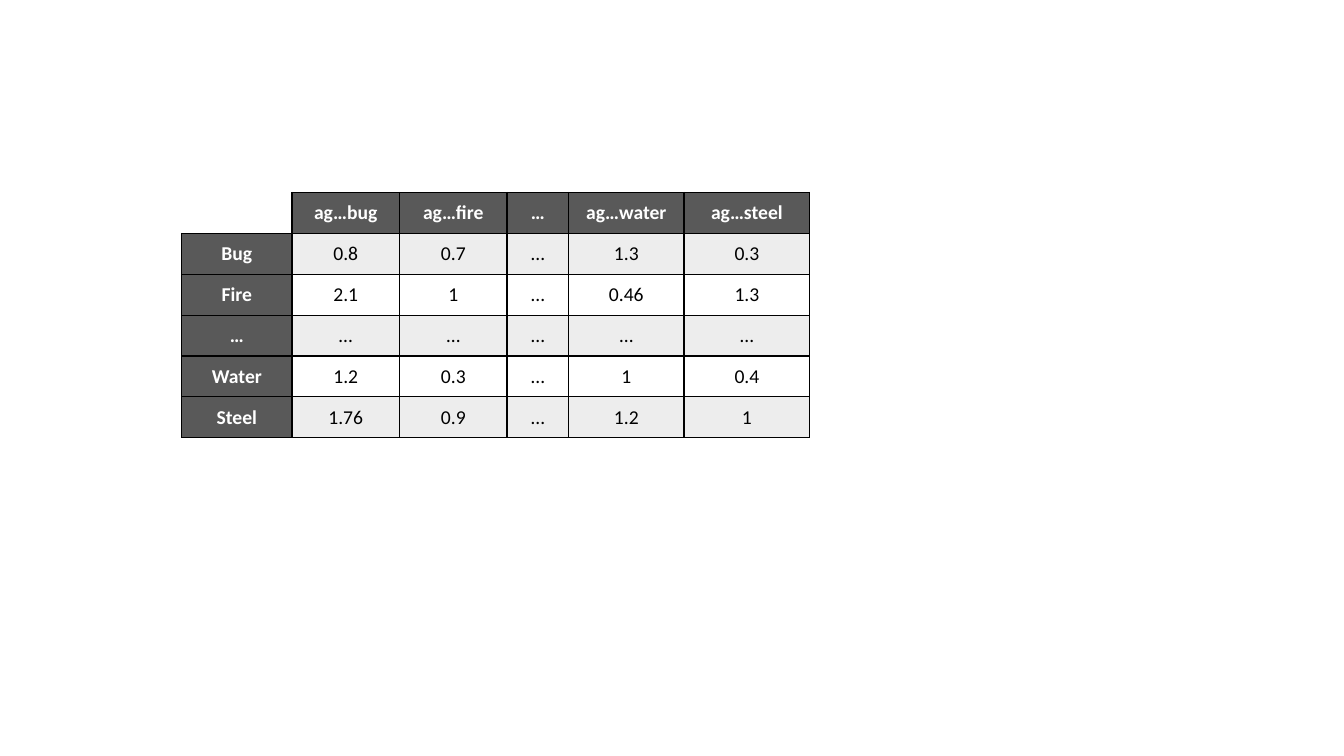
from dataclasses import dataclass

from pptx import Presentation, util as u
from pptx.dml.color import RGBColor
from pptx.enum import text
from pptx.oxml import parse_xml
from pptx.oxml.ns import nsdecls


@dataclass(frozen=True)
class Theme:
    """Colours and type sizes of the deck."""
    font: str = "Calibri"
    size: int = 14
    header: str = "595959"
    band: str = "EDEDED"
    light: str = "FFFFFF"
    dark: str = "000000"
    border: int = 1


@dataclass(frozen=True)
class Box:
    """Position and size in centimetres."""
    left: float
    top: float
    width: float
    height: float


THEME = Theme()
TYPE_ROWS = [
    ["", "ag…bug", "ag…fire", "…", "ag…water", "ag…steel"],
    ["Bug", "0.8", "0.7", "…", "1.3", "0.3"],
    ["Fire", "2.1", "1", "…", "0.46", "1.3"],
    ["…"] * 6,
    ["Water", "1.2", "0.3", "…", "1", "0.4"],
    ["Steel", "1.76", "0.9", "…", "1.2", "1"],
]
COLUMN_WIDTHS = [2.78, 2.71, 2.71, 1.55, 2.91, 3.17]


def set_borders(cell, sides):
    """Draw the border on the named sides and clear the others."""
    properties = cell._tc.get_or_add_tcPr()
    for position, side in enumerate("LRTB"):
        paint = (f'<a:solidFill><a:srgbClr val="{THEME.dark}"/></a:solidFill>'
                 if side in sides else "<a:noFill/>")
        properties.insert(position, parse_xml(
            f'<a:ln{side} {nsdecls("a")} w="{u.Pt(THEME.border)}">{paint}</a:ln{side}>'))


def set_fill(cell, colour):
    """Fill the cell, or leave it clear when there is no colour."""
    if colour:
        cell.fill.solid()
        cell.fill.fore_color.rgb = RGBColor.from_string(colour)
    else:
        cell.fill.background()


def set_text(cell, words, is_header):
    """Write centred words in the header or body style."""
    cell.text_frame.text = words
    cell.vertical_anchor = text.MSO_ANCHOR.MIDDLE
    para = cell.text_frame.paragraphs[0]
    para.alignment = text.PP_ALIGN.CENTER
    for span in para.runs:
        span.font.name = THEME.font
        span.font.size = u.Pt(THEME.size)
        span.font.bold = is_header
        span.font.color.rgb = RGBColor.from_string(THEME.light if is_header else THEME.dark)


def add_type_table(page, box):
    """Place the table of type ratios in the box."""
    table = page.shapes.add_table(
        len(TYPE_ROWS), len(COLUMN_WIDTHS),
        u.Cm(box.left), u.Cm(box.top), u.Cm(box.width), u.Cm(box.height)).table
    table.horz_banding = False
    scale = box.width / sum(COLUMN_WIDTHS)
    for column, width in zip(table.columns, COLUMN_WIDTHS):
        column.width = u.Cm(width * scale)
    for row_index, words_in_row in enumerate(TYPE_ROWS):
        table.rows[row_index].height = u.Cm(box.height / len(TYPE_ROWS))
        for column_index, words in enumerate(words_in_row):
            cell = table.cell(row_index, column_index)
            is_corner = row_index == column_index == 0
            is_header = row_index == 0 or column_index == 0
            band = THEME.band if row_index % 2 else None
            set_text(cell, words, is_header)
            set_fill(cell, None if is_corner else THEME.header if is_header else band)
            set_borders(cell, "RB" if is_corner else "LRTB")


def main():
    """Build and save the deck."""
    deck = Presentation()
    deck.slide_width, deck.slide_height = u.Cm(33.87), u.Cm(19.05)
    page = deck.slides.add_slide(deck.slide_layouts[6])
    add_type_table(page, Box(4.58, 4.85, 15.83, 6.18))
    deck.save("out.pptx")


main()
